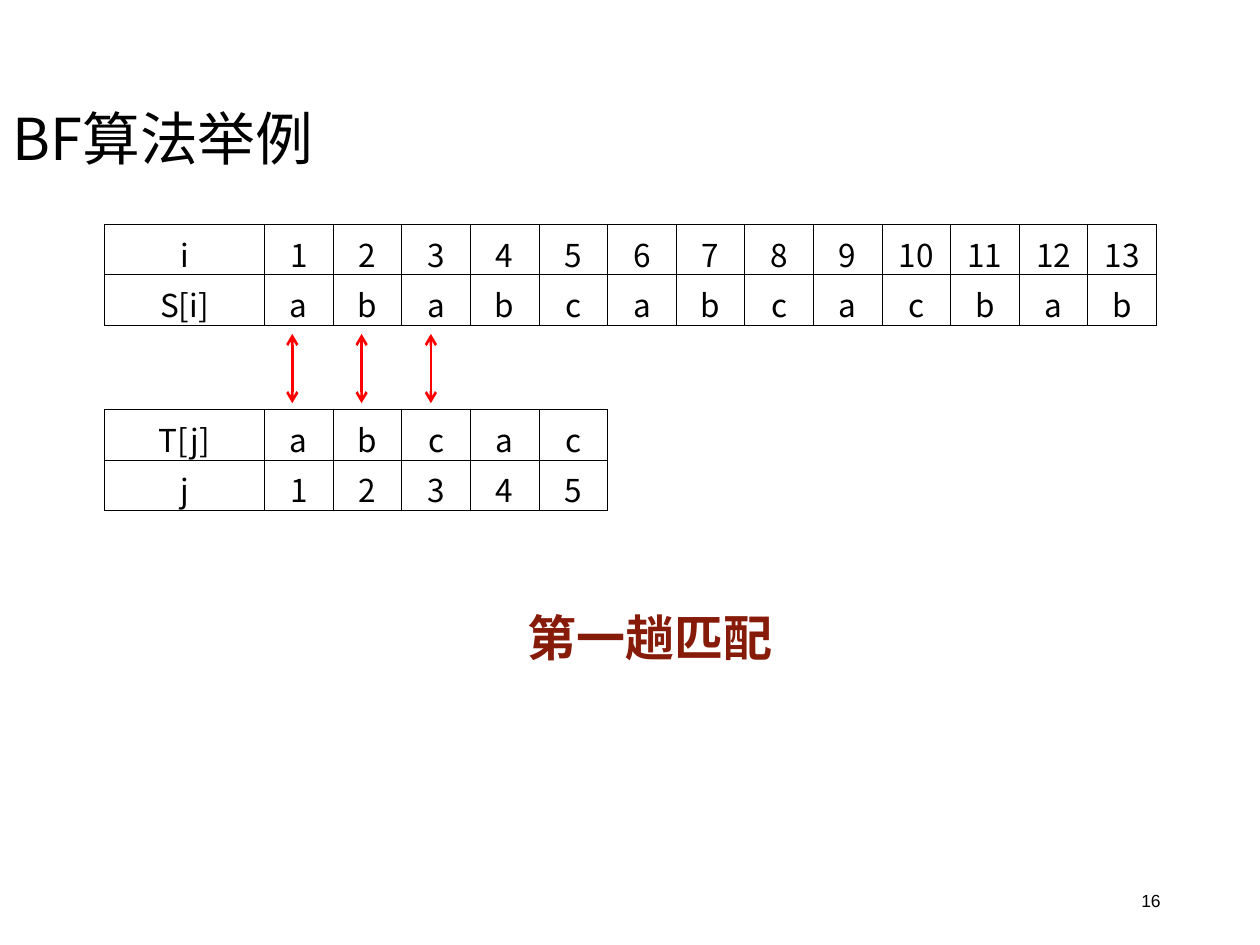
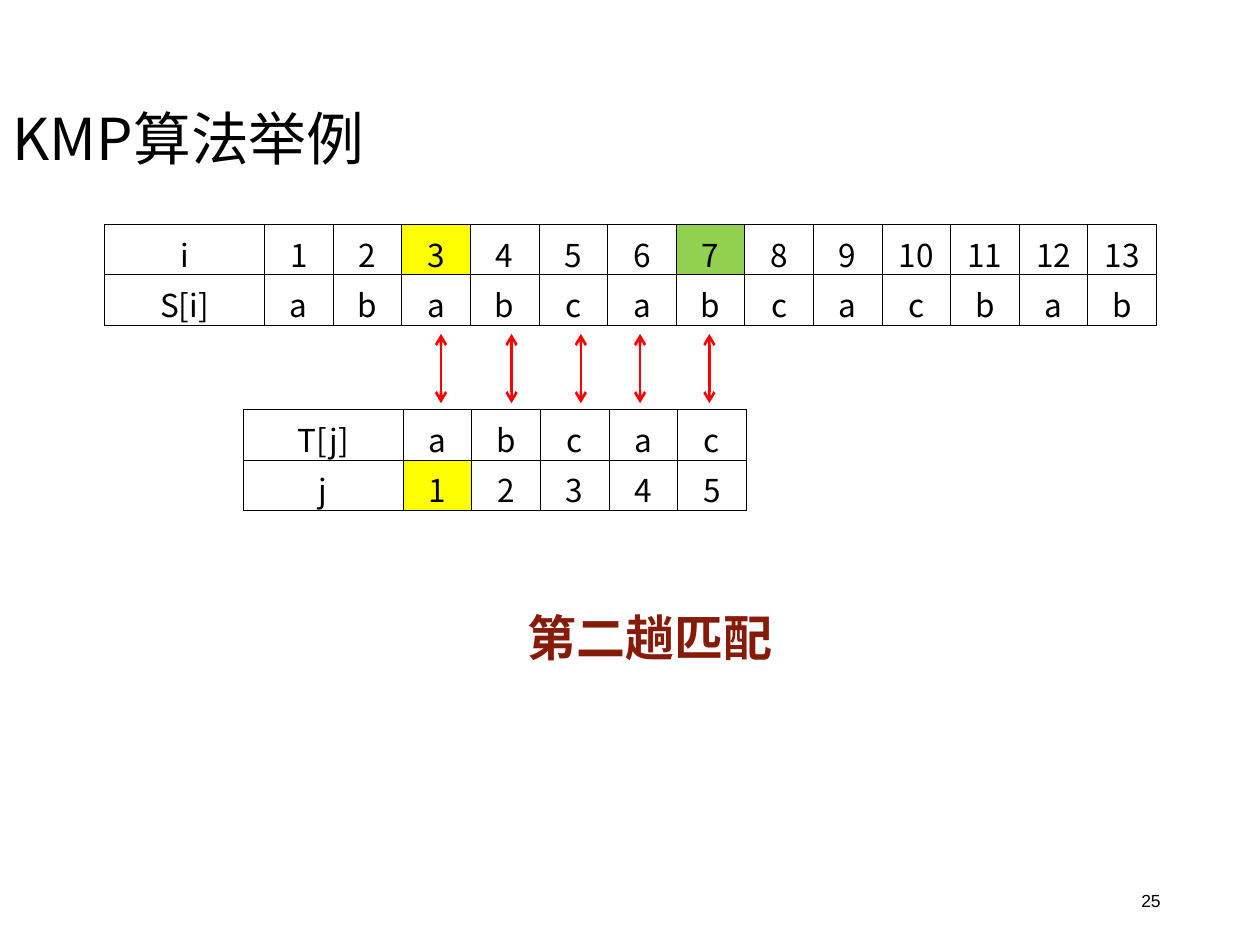
import pptx
import pptx.util
import pptx.dml.color
import pptx.enum.shapes
import pptx.enum.text
import pptx.oxml.ns
from lxml import etree

Inches, Pt = pptx.util.Inches, pptx.util.Pt
ALIGN = pptx.enum.text.PP_ALIGN
ANCHOR = pptx.enum.text.MSO_ANCHOR
COLORS = {"ink": "000000", "match": "FF0000", "caption": "871B09",
          "start": "FFFF00", "mismatch": "92D050"}
SANS, LATIN = "Noto Sans CJK SC", "Arial"

TEXT, PATTERN = "ababcabcacbab", "abcac"
LABEL_W, CELL_W, ROW_H = 1.27, (8.35 - 1.27) / 13, 0.4
TABLE_LEFT, TEXT_TOP, PATTERN_TOP = 0.83, 1.78, 3.25


def rgb(name):
    return pptx.dml.color.RGBColor.from_string(COLORS[name])


def add_xml(parent, tag, **attrs):
    return etree.SubElement(parent, pptx.oxml.ns.qn(tag), **attrs)


class Deck:
    """Holds the shared style and the slide being built."""

    def __init__(self):
        self.prs = pptx.Presentation()
        self.prs.slide_width, self.prs.slide_height = Inches(10), Inches(7.5)

    def new_slide(self, title, number):
        self.s = self.prs.slides.add_slide(self.prs.slide_layouts[5])
        sp = self.s.shapes.title
        sp.left, sp.top = Inches(0), Inches(0.4)
        sp.width, sp.height = Inches(8.63), Inches(1.45)
        tf = sp.text_frame
        tf.vertical_anchor = ANCHOR.MIDDLE
        tf.auto_size = pptx.enum.text.MSO_AUTO_SIZE.NONE
        self.add_text(tf, title, 33, align=ALIGN.LEFT)
        tf.paragraphs[0].line_spacing = 0.9
        tf = self.text_box(7.06, 6.95, 2.25, 0.4)
        tf.vertical_anchor = ANCHOR.MIDDLE
        self.add_text(tf, number, 10, font=LATIN, align=ALIGN.RIGHT)

    def add_text(self, tf, text, size, font=SANS, color="ink", bold=False,
                 align=ALIGN.CENTER):
        p = tf.paragraphs[0]
        p.alignment = align
        r = p.add_run()
        r.text = text
        r.font.name, r.font.size, r.font.bold = font, Pt(size), bold
        r.font.color.rgb = rgb(color)
        add_xml(r._r.get_or_add_rPr(), "a:ea", typeface=SANS)

    def text_box(self, left, top, width, height):
        sp = self.s.shapes.add_textbox(Inches(left), Inches(top),
                                       Inches(width), Inches(height))
        sp.text_frame.word_wrap = True
        return sp.text_frame

    def caption(self, text):
        tf = self.text_box(3.11, 4.77, 4.1, 0.57)
        tf.auto_size = pptx.enum.text.MSO_AUTO_SIZE.SHAPE_TO_FIT_TEXT
        self.add_text(tf, text, 28, font=LATIN, color="caption", bold=True)

    def table(self, left, top, rows, fills):
        """fills maps (row, column) to a colour name."""
        n = len(rows[0])
        width = LABEL_W + (n - 1) * CELL_W
        tbl = self.s.shapes.add_table(len(rows), n, Inches(left), Inches(top),
                                      Inches(width),
                                      Inches(ROW_H * len(rows))).table
        tbl.first_row = tbl.horz_banding = False
        for i, col in enumerate(tbl.columns):
            col.width = Inches(CELL_W if i else LABEL_W)
        for i, row in enumerate(rows):
            for j, text in enumerate(row):
                self.cell(tbl.cell(i, j), text, fills.get((i, j)))

    def cell(self, cell, text, fill):
        self.add_text(cell.text_frame, text, 18)
        tcPr = cell._tc.get_or_add_tcPr()
        for side in ("a:lnL", "a:lnR", "a:lnT", "a:lnB"):
            ln = add_xml(tcPr, side, w=str(Pt(0.45)))
            add_xml(add_xml(ln, "a:solidFill"), "a:srgbClr", val=COLORS["ink"])
        if fill:
            cell.fill.solid()
            cell.fill.fore_color.rgb = rgb(fill)
        else:
            cell.fill.background()

    def comparison_arrow(self, x):
        cxn = self.s.shapes.add_connector(
            pptx.enum.shapes.MSO_CONNECTOR.STRAIGHT,
            Inches(x), Inches(2.65), Inches(x), Inches(3.2))
        cxn.line.color.rgb = rgb("match")
        cxn.line.width = Pt(1.5)
        spPr = cxn._element.spPr
        for end in ("a:headEnd", "a:tailEnd"):
            add_xml(spPr.get_or_add_ln(), end, type="arrow")
        add_xml(spPr, "a:effectLst")

    def matching_pass(self, title, number, caption, arrows, pattern_left,
                      text_fills, pattern_fills):
        self.new_slide(title, number)
        indexes = [str(i + 1) for i in range(len(TEXT))]
        self.table(TABLE_LEFT, TEXT_TOP,
                   [["i", *indexes], ["S[i]", *TEXT]], text_fills)
        self.table(pattern_left, PATTERN_TOP,
                   [["T[j]", *PATTERN], ["j", *indexes[:len(PATTERN)]]],
                   pattern_fills)
        for x in arrows:
            self.comparison_arrow(x)
        self.caption(caption)


def main():
    deck = Deck()
    deck.matching_pass("BF算法举例", "16", "第一趟匹配",
                       [2.32, 2.87, 3.42], TABLE_LEFT, {}, {})
    deck.matching_pass("KMP算法举例", "25", "第二趟匹配",
                       [3.5, 4.06, 4.61, 5.08, 5.63], 1.93,
                       {(0, 3): "start", (0, 7): "mismatch"},
                       {(1, 1): "start"})
    deck.prs.save("out.pptx")


if __name__ == "__main__":
    main()
